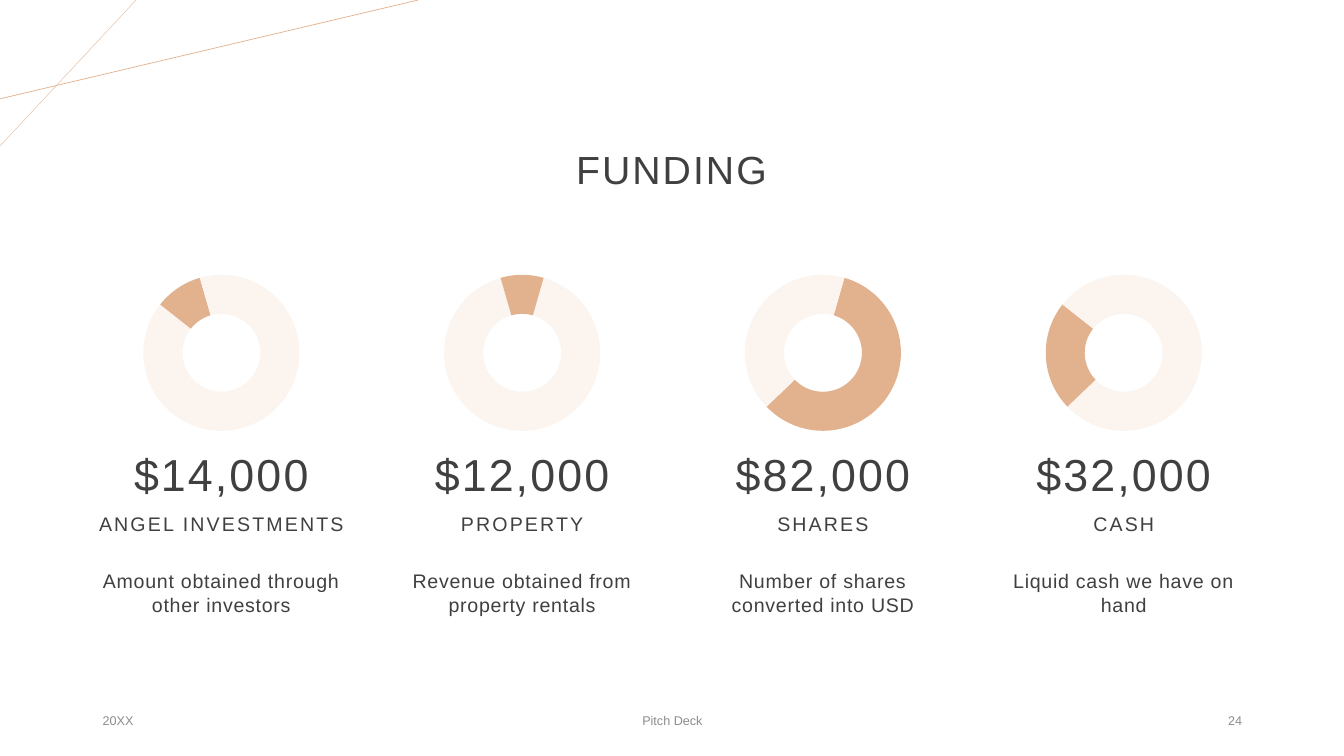
"""Build the funding slide with four doughnut charts."""
from lxml import etree
from pptx import Presentation
from pptx.chart.data import CategoryChartData
from pptx.dml.color import RGBColor
from pptx.enum.chart import XL_CHART_TYPE as ChartType
from pptx.enum.shapes import MSO_CONNECTOR as Connector
from pptx.enum.text import MSO_ANCHOR as Anchor, PP_ALIGN as Align
from pptx.oxml import parse_xml
from pptx.oxml.ns import nsdecls, qn
from pptx.util import Cm, Pt

PEACH = RGBColor(0xE2, 0xB1, 0x8D)
PALE = RGBColor(0xFB, 0xF4, 0xEF)
DARK = RGBColor(0x40, 0x40, 0x40)
GREY = RGBColor(0x8C, 0x8C, 0x8C)
BLACK = RGBColor(0, 0, 0)
FONT = "Arial"

TITLE = "FUNDING"
CATEGORIES = ("1", "2", "3", "4")
SHARES = (59, 23, 10, 9)
SOURCES = [
    ("$14,000", "ANGEL INVESTMENTS", "Amount obtained through other investors", 2),
    ("$12,000", "PROPERTY", "Revenue obtained from property rentals", 3),
    ("$82,000", "SHARES", "Number of shares converted into USD", 0),
    ("$32,000", "CASH", "Liquid cash we have on hand", 1),
]
FOOTERS = [
    ("20XX", 2.34, 7.62, Align.LEFT),
    ("Pitch Deck", 11.23, 11.43, Align.CENTER),
    ("24", 23.93, 7.62, Align.RIGHT),
]
CORNER_LINES = [((3.43, 0), (0, 3.68), 0.25), ((10.54, 0), (0, 2.49), 0.5)]

COLUMN_LEFT, COLUMN_WIDTH, COLUMN_STEP = 2.34, 6.48, 7.58
CHART_TOP, CHART_WIDTH, CHART_HEIGHT, RING = 6.58, 5.16, 4.62, 3.93


def add_text(slide, text, left, top, width, height, size, color=DARK,
             align=Align.CENTER, anchor=Anchor.MIDDLE, side_inset=0.25,
             line_spacing=1.0, tracking=0):
    box = slide.shapes.add_textbox(Cm(left), Cm(top), Cm(width), Cm(height))
    frame = box.text_frame
    frame.word_wrap = True
    frame.vertical_anchor = anchor
    frame.margin_left = frame.margin_right = Cm(side_inset)
    paragraph = frame.paragraphs[0]
    paragraph.alignment = align
    paragraph.line_spacing = line_spacing
    run = paragraph.add_run()
    run.text = text
    run.font.name = FONT
    run.font.size = Pt(size)
    run.font.color.rgb = color
    if tracking:
        run._r.get_or_add_rPr().set("spc", str(round(tracking * 100)))


def add_corner_line(slide, start, end, weight):
    line = slide.shapes.add_connector(
        Connector.STRAIGHT, *(Cm(value) for value in start + end))
    line.line.color.rgb = PEACH
    line.line.width = Pt(weight)
    etree.SubElement(line._element.spPr, qn("a:effectLst"))


def add_ring(slide, left, highlighted):
    data = CategoryChartData()
    data.categories = CATEGORIES
    data.add_series("Series 1", SHARES)
    chart = slide.shapes.add_chart(
        ChartType.DOUGHNUT, Cm(left), Cm(CHART_TOP),
        Cm(CHART_WIDTH), Cm(CHART_HEIGHT), data).chart
    chart.has_legend = False
    chart.has_title = False
    chart.font.name = FONT
    chart.font.size = Pt(10)
    chart.font.color.rgb = BLACK
    plot = chart.plots[0]
    plot.vary_by_categories = True
    for index in range(len(SHARES)):
        point = plot.series[0].points[index].format
        point.fill.solid()
        point.fill.fore_color.rgb = PEACH if index == highlighted else PALE
        point.line.fill.background()
    plot_area = chart._chartSpace.chart.plotArea
    next(plot_area.iter(qn("c:firstSliceAng"))).set("val", "16")
    next(plot_area.iter(qn("c:holeSize"))).set("val", "80")
    width, height = RING / CHART_WIDTH, RING / CHART_HEIGHT
    placement = {"x": (1 - width) / 2, "y": (1 - height) / 2, "w": width, "h": height}
    for old_layout in plot_area.findall(qn("c:layout")):
        plot_area.remove(old_layout)
    plot_area.insert(0, parse_xml(
        f'<c:layout {nsdecls("c")}><c:manualLayout><c:layoutTarget val="inner"/>'
        '<c:xMode val="edge"/><c:yMode val="edge"/>'
        + "".join(f'<c:{key} val="{value:.3f}"/>' for key, value in placement.items())
        + "</c:manualLayout></c:layout>"))


def main():
    presentation = Presentation()
    presentation.slide_width, presentation.slide_height = Cm(33.87), Cm(19.05)
    slide = presentation.slides.add_slide(presentation.slide_layouts[6])

    for start, end, weight in CORNER_LINES:
        add_corner_line(slide, start, end, weight)
    add_text(slide, TITLE, 5.23, 2.49, 23.39, 3.68, 28, line_spacing=0.9, tracking=1.5)

    for column, (amount, name, description, highlighted) in enumerate(SOURCES):
        left = COLUMN_LEFT + column * COLUMN_STEP
        add_ring(slide, left + (COLUMN_WIDTH - CHART_WIDTH) / 2, highlighted)
        for text, top, height, size in ((amount, 10.52, 2.24, 32), (name, 12.4, 1.22, 14)):
            add_text(slide, text, left, top, COLUMN_WIDTH, height, size,
                     anchor=Anchor.BOTTOM, side_inset=0, line_spacing=0.9, tracking=1.5)
        add_text(slide, description, left, 14.22, COLUMN_WIDTH, 2.36, 14,
                 anchor=Anchor.TOP, side_inset=0, tracking=0.5)

    for text, left, width, align in FOOTERS:
        add_text(slide, text, left, 17.65, width, 1.02, 9, color=GREY, align=align)

    presentation.save("out.pptx")


if __name__ == "__main__":
    main()
